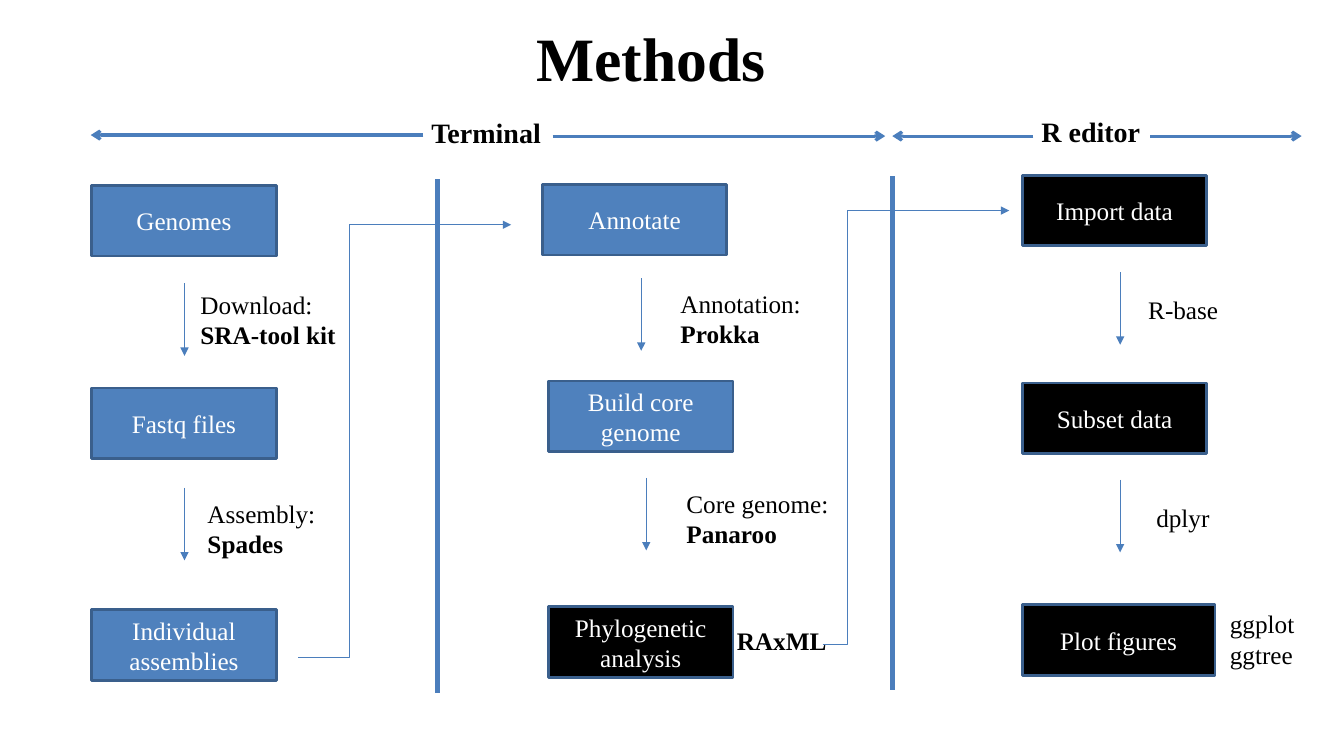
from dataclasses import dataclass

from lxml import etree
from pptx import Presentation
from pptx.dml.color import RGBColor
from pptx.enum.shapes import MSO_CONNECTOR as CONN, MSO_SHAPE
from pptx.enum.text import MSO_ANCHOR as ANCHOR, MSO_AUTO_SIZE as AUTO, PP_ALIGN as ALIGN
from pptx.oxml.ns import qn
from pptx.util import Inches, Pt


@dataclass(frozen=True)
class Theme:
    font: str = "Times New Roman"
    black: RGBColor = RGBColor(0x00, 0x00, 0x00)
    white: RGBColor = RGBColor(0xFF, 0xFF, 0xFF)
    blue: RGBColor = RGBColor(0x4F, 0x81, 0xBD)
    border: RGBColor = RGBColor(0x3A, 0x5F, 0x8C)
    line: RGBColor = RGBColor(0x4B, 0x7E, 0xBC)
    title: int = 44
    header: int = 20
    body: int = 18


theme = Theme()
prs = Presentation()
prs.slide_width, prs.slide_height = Inches(13.33), Inches(7.5)
s = prs.slides.add_slide(prs.slide_layouts[6])


def write(sp, text, size=theme.body, color=theme.black, bold=(), align=ALIGN.LEFT,
          anchor=ANCHOR.TOP, wrap=True, auto=AUTO.NONE, spacing=None):
    """Fill a shape with one paragraph per line; bold holds the numbers of the bold lines."""
    tf = sp.text_frame
    tf.word_wrap, tf.auto_size, tf.vertical_anchor = wrap, auto, anchor
    for i, line in enumerate(text.split("\n")):
        p = tf.add_paragraph() if i else tf.paragraphs[0]
        p.alignment, p.line_spacing = align, spacing
        r = p.add_run()
        r.text = line
        r.font.name, r.font.size, r.font.bold = theme.font, Pt(size), i in bold
        r.font.color.rgb = color


def connect(x1, y1, x2, y2, width=0.75, head=None, bend=None):
    """Draw a line, or an elbow turning at x = bend, with an optional arrowhead at its end."""
    kind = CONN.STRAIGHT if bend is None else CONN.ELBOW
    c = s.shapes.add_connector(kind, Inches(x1), Inches(y1), Inches(x2), Inches(y2))
    c.line.width = Pt(width)
    c.line.color.rgb = theme.line
    props = c._element.spPr
    if head:
        etree.SubElement(props.find(qn("a:ln")), qn("a:tailEnd"), type=head)
    if bend is not None:
        share = round((bend - x1) / (x2 - x1) * 100000)
        guides = props.find(qn("a:prstGeom")).get_or_add_avLst()
        etree.SubElement(guides, qn("a:gd"), name="adj1", fmla=f"val {share}")
    etree.SubElement(props, qn("a:effectLst"))


title = s.shapes.add_textbox(Inches(1.41), Inches(0.14), Inches(10.1), Inches(0.95))
write(title, "Methods", size=theme.title, bold=(0,), align=ALIGN.CENTER,
      anchor=ANCHOR.MIDDLE, spacing=0.9)

# Column dividers
for x, top in [(4.34, 1.78), (8.85, 1.75)]:
    connect(x, top, x, top + 5.1, width=3.75)

# Environment spans
for x1, x2, y in [(4.2, 0.9, 1.34), (5.48, 8.78, 1.35), (10.25, 8.85, 1.35), (11.41, 12.91, 1.35)]:
    connect(x1, y, x2, y, width=2.25, head="arrow")
for text, x, y in [("Terminal", 4.18, 1.1), ("R editor", 10.23, 1.09)]:
    header = s.shapes.add_textbox(Inches(x), Inches(y), Inches(1.33), Inches(0.44))
    write(header, text, size=theme.header, bold=(0,), auto=AUTO.SHAPE_TO_FIT_TEXT)

# Workflow steps
steps = [
    ("Genomes", 0.91, 1.84, 1.83, theme.blue),
    ("Fastq files", 0.91, 3.85, 1.83, theme.blue),
    ("Individual assemblies", 0.91, 6.05, 1.83, theme.blue),
    ("Annotate", 5.38, 1.83, 1.83, theme.blue),
    ("Build core genome", 5.44, 3.78, 1.83, theme.blue),
    ("Phylogenetic analysis", 5.44, 6.02, 1.83, theme.black),
    ("Import data", 10.14, 1.74, 1.83, theme.black),
    ("Subset data", 10.14, 3.8, 1.83, theme.black),
    ("Plot figures", 10.14, 6, 1.91, theme.black),
]
for text, x, y, width, fill in steps:
    step = s.shapes.add_shape(MSO_SHAPE.RECTANGLE, Inches(x), Inches(y), Inches(width), Inches(0.7))
    step.shadow.inherit = False
    step.fill.solid()
    step.fill.fore_color.rgb = fill
    step.line.color.rgb = theme.border
    step.line.width = Pt(2)
    write(step, text, color=theme.white, align=ALIGN.CENTER, anchor=ANCHOR.MIDDLE)

# Arrows down each column, then from one column to the next
for x, y in [(1.83, 2.81), (1.83, 4.84), (6.36, 2.76), (6.41, 4.74), (11.11, 2.7), (11.11, 4.76)]:
    connect(x, y, x, y + 0.72, head="triangle")
connect(2.96, 6.52, 5.07, 2.23, head="triangle", bend=3.47)
connect(8.16, 6.39, 10.01, 2.09, head="triangle", bend=8.41)

# Tools used at each step
tools = [
    ("Download:\nSRA-tool kit", 1.89, 2.82, 1.56, (1,)),
    ("Assembly:\nSpades", 1.96, 4.89, 1.27, (1,)),
    ("Annotation:\nProkka", 6.65, 2.81, 1.48, (1,)),
    ("Core genome:\nPanaroo", 6.71, 4.79, 1.64, (1,)),
    ("RAxML", 7.21, 6.15, 1.1, (0,)),
    ("R-base", 11.29, 2.87, 0.9, ()),
    ("dplyr", 11.37, 4.93, 0.73, ()),
    ("ggplot\nggtree", 12.1, 5.99, 0.85, ()),
]
for text, x, y, width, bold in tools:
    height = 0.71 if "\n" in text else 0.4
    label = s.shapes.add_textbox(Inches(x), Inches(y), Inches(width), Inches(height))
    write(label, text, bold=bold, wrap=False, auto=AUTO.SHAPE_TO_FIT_TEXT)

prs.save("out.pptx")
